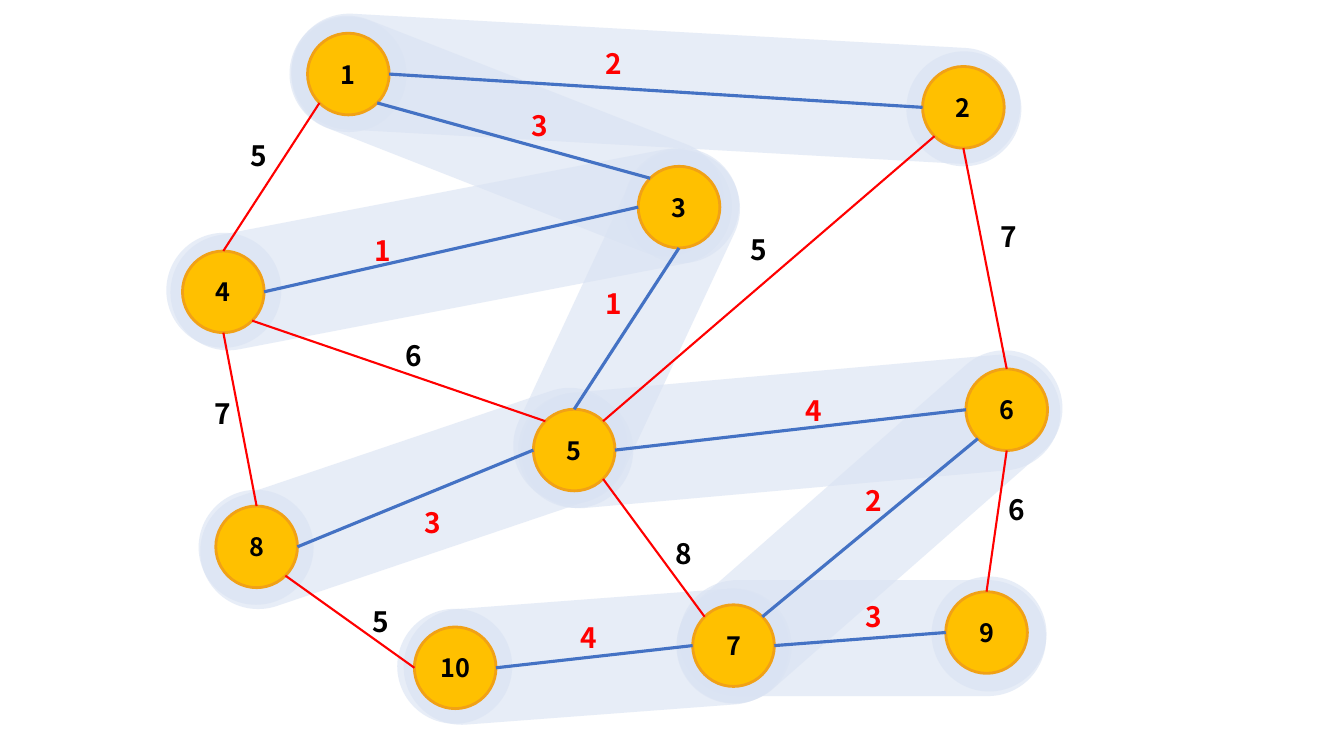
from math import cos, radians, sin

from lxml.etree import SubElement
from pptx import Presentation
from pptx.dml.color import RGBColor
from pptx.enum.shapes import MSO_CONNECTOR as CONNECTOR, MSO_SHAPE as SHAPE
from pptx.enum.text import MSO_ANCHOR as ANCHOR, MSO_AUTO_SIZE as AUTO_SIZE, PP_ALIGN as ALIGN
from pptx.oxml.ns import qn
from pptx.util import Inches, Pt

BLACK = RGBColor(0x00, 0x00, 0x00)
RED = RGBColor(0xFF, 0x00, 0x00)
BLUE = RGBColor(0x44, 0x72, 0xC4)
AMBER = RGBColor(0xFF, 0xC0, 0x00)
ORANGE = RGBColor(0xF1, 0xA1, 0x16)
PALE_BLUE = RGBColor(0xDA, 0xE3, 0xF3)

NODE_SIZE = 0.81
HALO_SIZE = 1.14
BAND_WIDTH = 1.15

NODES = {
    1: (3.05, 0.33), 2: (9.15, 0.66), 3: (6.33, 1.65), 4: (1.81, 2.49), 5: (5.29, 4.06),
    6: (9.58, 3.66), 7: (6.87, 6.00), 8: (2.14, 5.02), 9: (9.38, 5.87), 10: (4.11, 6.22),
}

HIGHLIGHTS = [
    ((5.93, -2.74, 7.24, 273.2), (8.99, 0.51)),
    ((4.45, -0.92, 4.54, 291.4), (2.89, 0.17)),
    ((3.53, 2.74, 4.41, 251.3), (1.97, 4.86)),
    ((3.90, -0.35, 5.65, 259.1), (1.65, 2.31)),
    ((5.64, 1.37, 3.75, 205), (6.19, 1.47)),
    ((7.27, 1.60, 5.36, 264.9), (5.14, 3.90)),
    ((5.34, 4.60, 3.83, 265.7), (3.94, 6.04)),
    ((7.98, 4.51, 3.64, 270), (9.24, 5.72)),
    ((8.05, 2.87, 4.71, 228.7), (6.71, 5.84)),
]

SITES = {"E": 0, "SE": 45, "S": 90, "SW": 135, "W": 180, "NW": 225, "N": 270, "NE": 315}

TREE_EDGES = [
    (3, "NW", 1, "SE", "3", (5.17, 1.03)),
    (2, "W", 1, "E", "2", (5.91, 0.41)),
    (3, "S", 5, "N", "1", (5.91, 2.79)),
    (3, "W", 4, "E", "1", (3.62, 2.27)),
    (5, "W", 8, "E", "3", (4.11, 4.97)),
    (6, "W", 5, "E", "4", (7.89, 3.85)),
    (6, "SW", 7, "NE", "2", (8.49, 4.75)),
    (10, "E", 7, "W", "4", (5.66, 6.11)),
    (9, "W", 7, "E", "3", (8.49, 5.90)),
]
OTHER_EDGES = [
    (4, "N", 1, "SW", "5", (2.39, 1.32)),
    (2, "S", 6, "N", "7", (9.82, 2.13)),
    (2, "SW", 5, "NE", "5", (7.35, 2.26)),
    (4, "S", 8, "N", "7", (2.03, 3.88)),
    (5, "NW", 4, "SE", "6", (3.92, 3.31)),
    (5, "SE", 7, "NW", "8", (6.60, 5.27)),
    (9, "N", 6, "S", "6", (9.90, 4.84)),
    (10, "W", 8, "SE", "5", (3.60, 5.95)),
]


def rim_point(node, site):
    left, top = NODES[node]
    radius = NODE_SIZE / 2
    angle = radians(SITES[site])
    return Inches(left + radius + radius * cos(angle)), Inches(top + radius + radius * sin(angle))


class GraphSlide:
    font_name = "Noto Sans CJK KR"

    def __init__(self, slide):
        self.shapes = slide.shapes

    def solid(self, kind, left, top, width, height, color):
        shape = self.shapes.add_shape(kind, Inches(left), Inches(top), Inches(width), Inches(height))
        shape.shadow.inherit = False
        shape.fill.solid()
        shape.fill.fore_color.rgb = color
        return shape

    def highlight(self, kind, left, top, width, height):
        area = self.solid(kind, left, top, width, height, PALE_BLUE)
        area.line.fill.background()
        color = area._element.spPr.find(qn("a:solidFill"))[0]
        SubElement(color, qn("a:alpha"), val="63000")
        return area

    def band(self, left, top, length, rotation):
        band = self.highlight(SHAPE.ROUNDED_RECTANGLE, left, top, BAND_WIDTH, length)
        band.adjustments[0] = 0.5
        band.rotation = rotation

    def halo(self, left, top):
        self.highlight(SHAPE.OVAL, left, top, HALO_SIZE, HALO_SIZE)

    def label(self, frame, text, size, color):
        paragraph = frame.paragraphs[0]
        run = paragraph.add_run()
        run.text = text
        run.font.name = self.font_name
        run.font.size = Pt(size)
        run.font.bold = True
        run.font.color.rgb = color
        return paragraph

    def node(self, number, left, top):
        circle = self.solid(SHAPE.OVAL, left, top, NODE_SIZE, NODE_SIZE, AMBER)
        circle.line.color.rgb = ORANGE
        circle.line.width = Pt(2)
        circle.text_frame.vertical_anchor = ANCHOR.MIDDLE
        self.label(circle.text_frame, str(number), 18, BLACK).alignment = ALIGN.CENTER

    def edge(self, start, end, color, width):
        edge = self.shapes.add_connector(CONNECTOR.STRAIGHT, *start, *end)
        edge.line.color.rgb = color
        edge.line.width = Pt(width)
        SubElement(edge._element.spPr, qn("a:effectLst"))

    def weight(self, text, left, top, color):
        box = self.shapes.add_textbox(Inches(left), Inches(top), Inches(0.36), Inches(0.44))
        box.text_frame.word_wrap = False
        box.text_frame.auto_size = AUTO_SIZE.SHAPE_TO_FIT_TEXT
        self.label(box.text_frame, text, 20, color)


def main():
    deck = Presentation()
    deck.slide_width = Inches(13.33)
    deck.slide_height = Inches(7.5)
    graph = GraphSlide(deck.slides.add_slide(deck.slide_layouts[6]))

    for band, halo in HIGHLIGHTS:
        graph.band(*band)
        graph.halo(*halo)
    for number, corner in NODES.items():
        graph.node(number, *corner)
    for edges, line_color, width, weight_color in (
        (TREE_EDGES, BLUE, 2.25, RED),
        (OTHER_EDGES, RED, 1.5, BLACK),
    ):
        for first, first_site, second, second_site, weight, corner in edges:
            graph.edge(rim_point(first, first_site), rim_point(second, second_site), line_color, width)
            graph.weight(weight, *corner, weight_color)

    deck.save("out.pptx")


if __name__ == "__main__":
    main()
